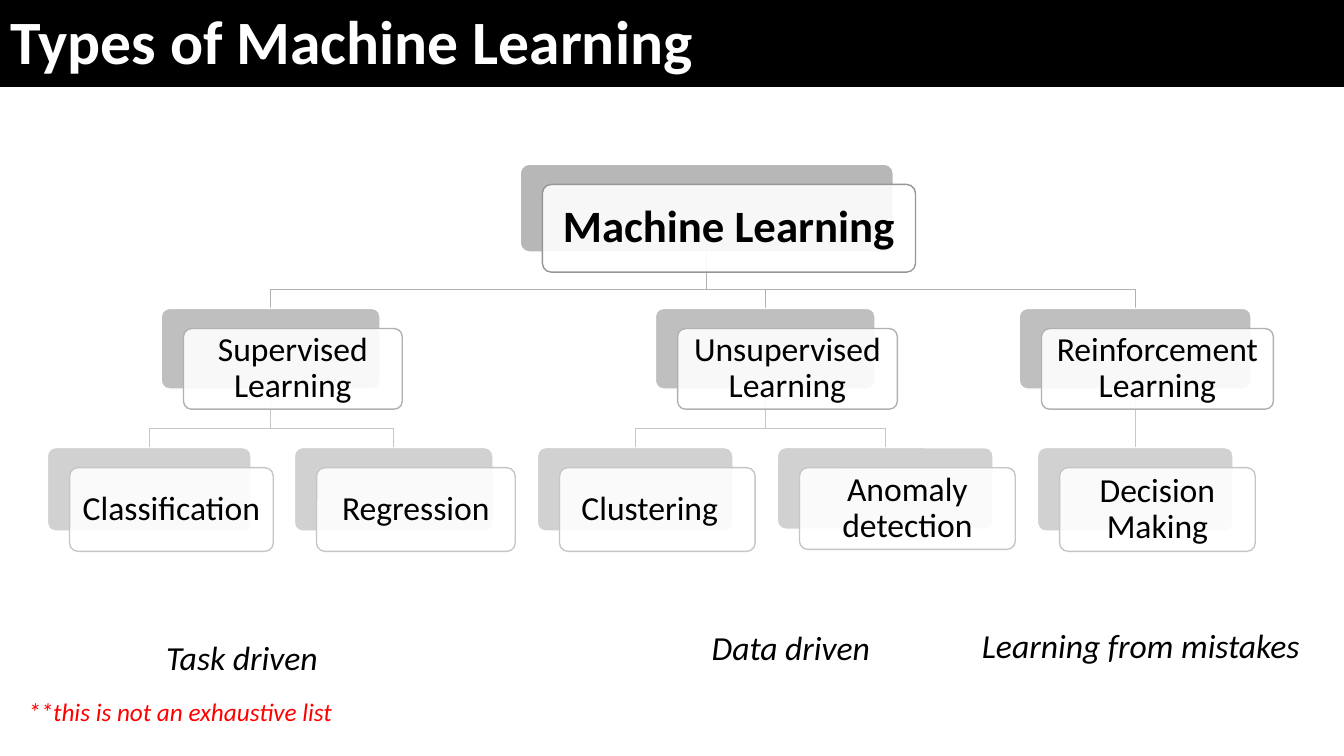
"""Build the slide that shows the types of machine learning as a tree of cards."""
from dataclasses import dataclass

from lxml.etree import SubElement
from pptx import Presentation
from pptx.dml.color import RGBColor
from pptx.enum.shapes import MSO_CONNECTOR, MSO_SHAPE
from pptx.enum.text import MSO_ANCHOR, MSO_AUTO_SIZE, PP_ALIGN
from pptx.oxml.ns import qn
from pptx.util import Inches, Pt


@dataclass(frozen=True)
class Theme:
    font: str = "Calibri"
    black: str = "000000"
    white: str = "FFFFFF"
    red: str = "FF0000"
    gray: str = "A5A5A5"
    level_lines: tuple = ("969696", "B1B1B1", "C6C6C6")
    level_alphas: tuple = (80, 70, 50)
    front_alpha: int = 90
    title_size: int = 44
    root_size: int = 32
    body_size: int = 24
    note_size: int = 18


@dataclass(frozen=True)
class Card:
    text: str
    left: float
    width: float
    height: float
    children: tuple = ()
    right_pad: float = 0

    @property
    def center(self):
        return self.left + self.width / 2


LEVEL_TOPS = (1.63, 3.06, 4.44)
FRONT_OFFSET = (0.22, 0.2)
BRANCH_DROP = 0.19

TREE = Card("Machine Learning", 5.16, 3.7, 0.87, (
    Card("Supervised Learning", 1.6, 2.17, 0.8, (
        Card("Classification", 0.47, 2.02, 0.83),
        Card("Regression", 2.92, 1.97, 0.83))),
    Card("Unsupervised Learning", 6.5, 2.18, 0.8, (
        Card("Clustering", 5.33, 1.94, 0.83, right_pad=0.15),
        Card("Anomaly detection", 7.71, 2.14, 0.81))),
    Card("Reinforcement Learning", 10.11, 2.3, 0.8, (
        Card("Decision Making", 10.29, 1.94, 0.83),)),
))

CAPTIONS = (
    ("Task driven", 1.55, 6.27, 2.09),
    ("Data driven", 6.96, 6.17, 2.37),
    ("Learning from mistakes", 9.64, 6.15, 3.69),
)


class SlideBuilder:
    """Hold the theme and the current slide, and draw each kind of element."""

    def __init__(self, slide, theme):
        self.slide = slide
        self.theme = theme

    def set_text(self, shape, text, size, color, bold=False, italic=False):
        frame = shape.text_frame
        frame.text = text
        frame.word_wrap = True
        frame.auto_size = MSO_AUTO_SIZE.NONE
        frame.vertical_anchor = MSO_ANCHOR.TOP
        paragraph = frame.paragraphs[0]
        paragraph.alignment = PP_ALIGN.LEFT
        font = paragraph.runs[0].font
        font.name, font.size = self.theme.font, Pt(size)
        font.bold, font.italic = bold, italic
        font.color.rgb = RGBColor.from_string(color)
        return frame

    def box(self, kind, left, top, width, height, fill, line, alpha=100):
        shape = self.slide.shapes.add_shape(
            kind, Inches(left), Inches(top), Inches(width), Inches(height))
        shape.shadow.inherit = False
        shape.fill.solid()
        shape.fill.fore_color.rgb = RGBColor.from_string(fill)
        if alpha < 100:
            color = shape._element.spPr.find(qn("a:solidFill"))[0]
            SubElement(color, qn("a:alpha")).set("val", str(alpha * 1000))
        self.stroke(shape, line)
        return shape

    def stroke(self, shape, color):
        shape.line.color.rgb = RGBColor.from_string(color)
        shape.line.width = Pt(1)

    def title(self, text):
        theme = self.theme
        bar = self.box(MSO_SHAPE.RECTANGLE, 0, -0.06, 13.33, 0.92, theme.black, theme.black)
        title = self.slide.shapes.title
        title._element.addprevious(bar._element)
        title.left, title.top = Inches(0), Inches(-0.02)
        title.width, title.height = Inches(8.94), Inches(0.84)
        self.set_text(title, text, theme.title_size, theme.white, bold=True)

    def label(self, text, left, top, width, height, size, color):
        shape = self.slide.shapes.add_textbox(
            Inches(left), Inches(top), Inches(width), Inches(height))
        self.set_text(shape, text, size, color, italic=True)

    def branch(self, parent, child, level):
        start, end = LEVEL_TOPS[level] + parent.height, LEVEL_TOPS[level + 1]
        shapes = self.slide.shapes
        if abs(parent.center - child.center) < 0.01:
            shape = shapes.add_connector(
                MSO_CONNECTOR.STRAIGHT, Inches(parent.center), Inches(start),
                Inches(parent.center), Inches(end))
            SubElement(shape._element.spPr, qn("a:effectLst"))
        else:
            turn = end - BRANCH_DROP
            builder = shapes.build_freeform(Inches(parent.center), Inches(start))
            points = ((parent.center, turn), (child.center, turn), (child.center, end))
            builder.add_line_segments(
                [(Inches(x), Inches(y)) for x, y in points], close=False)
            shape = builder.convert_to_shape()
            shape.shadow.inherit = False
            shape.fill.background()
        self.stroke(shape, self.theme.level_lines[level + 1])

    def branches(self, parent, level=0):
        for child in parent.children:
            self.branches(child, level + 1)
            self.branch(parent, child, level)

    def card(self, card, level):
        theme = self.theme
        top = LEVEL_TOPS[level]
        back = self.box(MSO_SHAPE.ROUNDED_RECTANGLE, card.left, top, card.width, card.height,
                        theme.gray, theme.white, theme.level_alphas[level])
        front = self.box(MSO_SHAPE.ROUNDED_RECTANGLE, card.left + FRONT_OFFSET[0],
                         top + FRONT_OFFSET[1], card.width, card.height,
                         theme.white, theme.level_lines[level], theme.front_alpha)
        back.adjustments[0] = front.adjustments[0] = 0.1
        is_root = level == 0
        size = theme.root_size if is_root else theme.body_size
        frame = self.set_text(front, card.text, size, theme.black, bold=is_root)
        inset = 0.13 if is_root else 0.1
        frame.margin_left = frame.margin_top = frame.margin_bottom = Inches(inset)
        frame.margin_right = Inches(inset + card.right_pad)
        frame.vertical_anchor = MSO_ANCHOR.MIDDLE
        frame.paragraphs[0].alignment = PP_ALIGN.CENTER
        frame.paragraphs[0].line_spacing = 0.9

    def cards(self, card, level=0):
        self.card(card, level)
        for child in card.children:
            self.cards(child, level + 1)


def main():
    presentation = Presentation()
    presentation.slide_width, presentation.slide_height = Inches(13.33), Inches(7.5)
    slide = presentation.slides.add_slide(presentation.slide_layouts[5])
    theme = Theme()
    builder = SlideBuilder(slide, theme)
    builder.title("Types of Machine Learning")
    builder.branches(TREE)
    builder.cards(TREE)
    for text, left, top, width in CAPTIONS:
        builder.label(text, left, top, width, 0.5, theme.body_size, theme.black)
    builder.label("**this is not an exhaustive list", 0.18, 6.86, 4.74, 0.4,
                  theme.note_size, theme.red)
    presentation.save("out.pptx")


if __name__ == "__main__":
    main()
